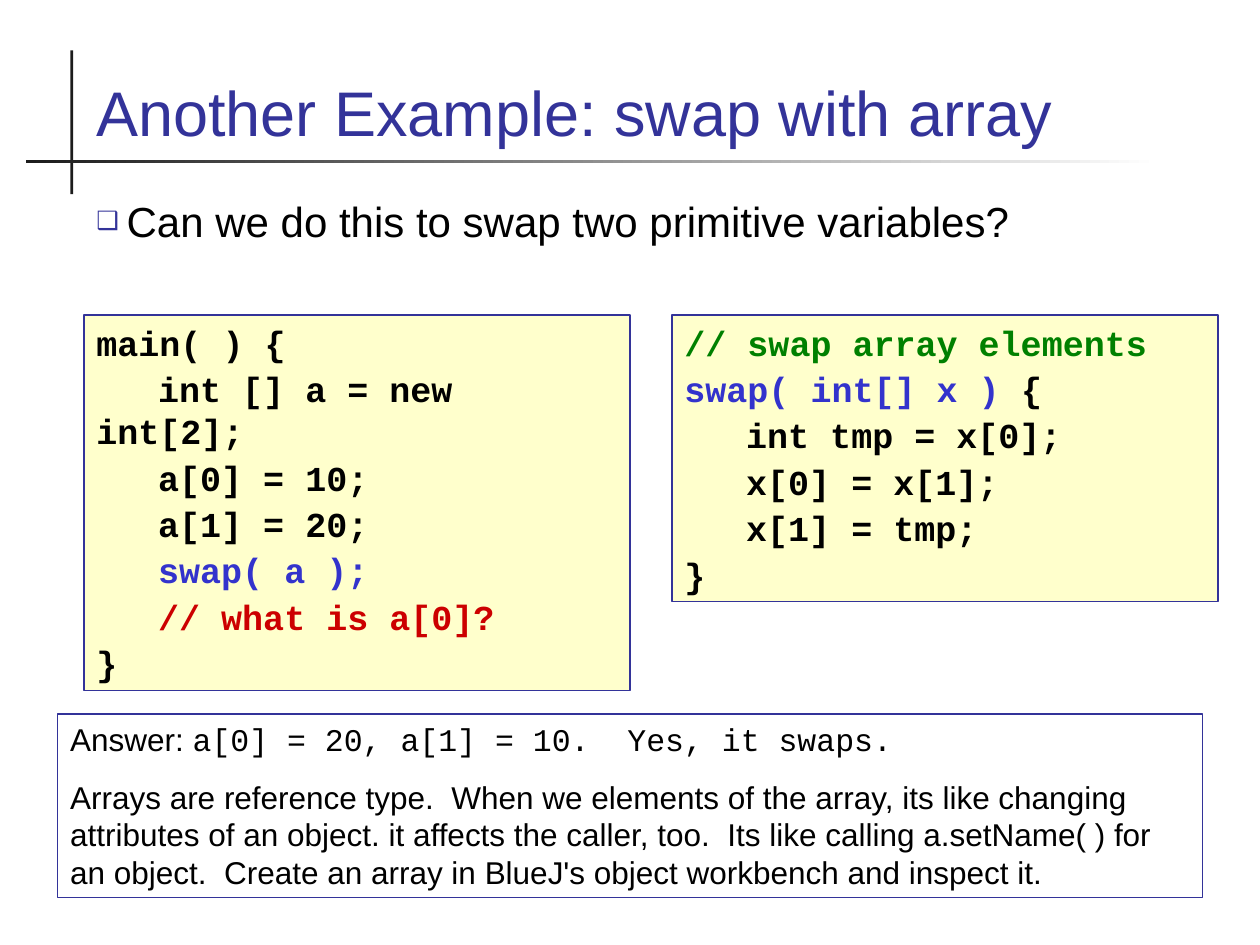
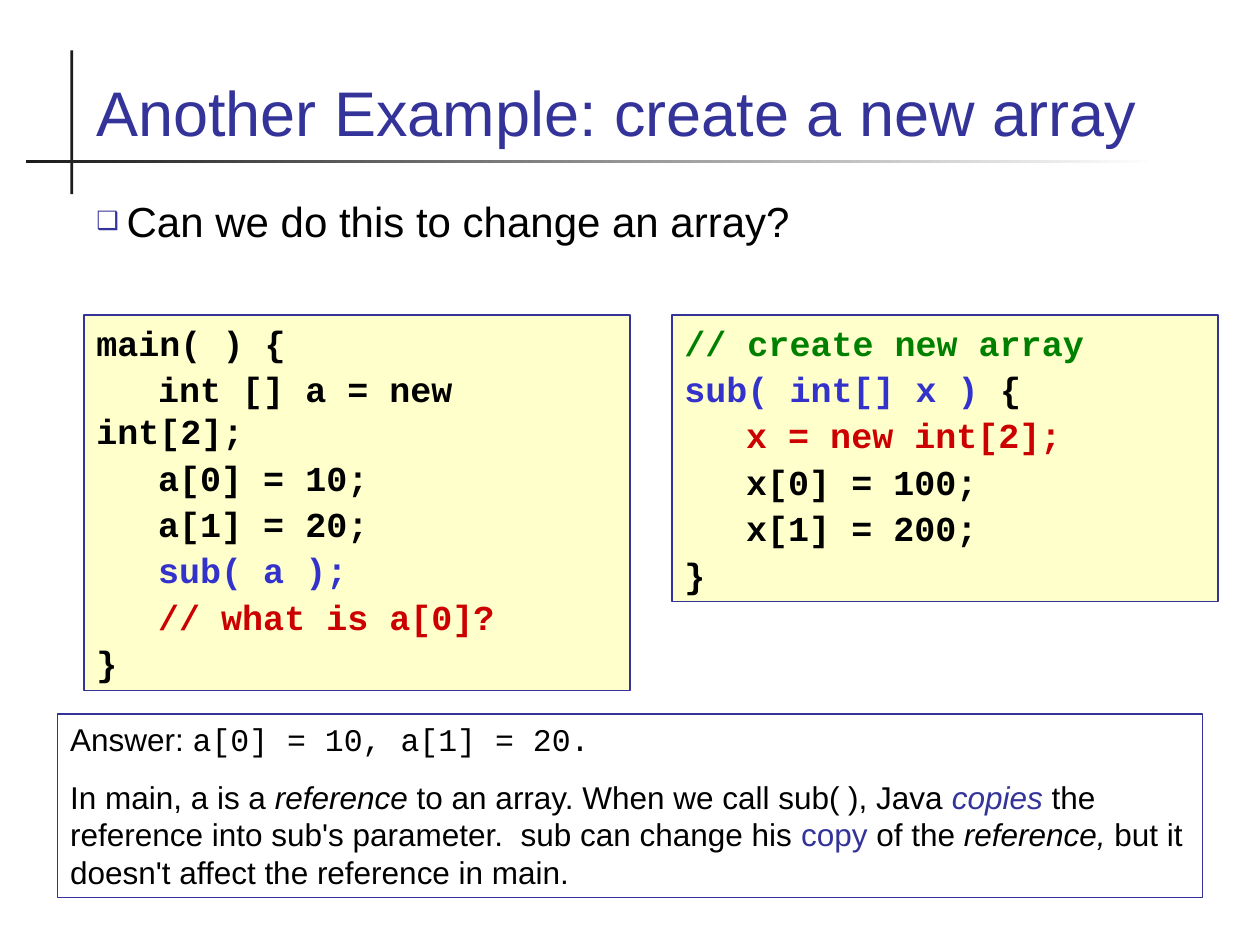
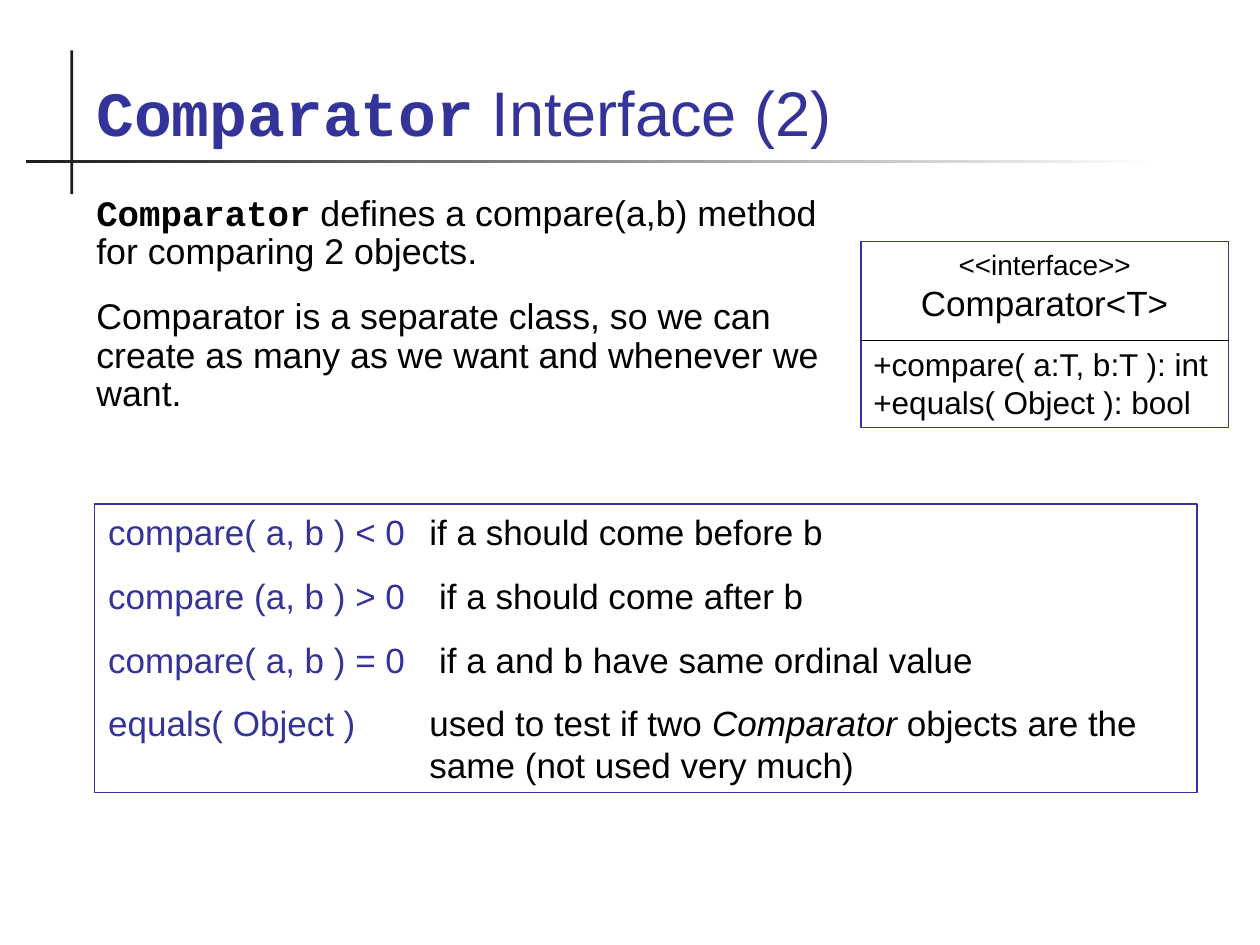
from dataclasses import dataclass, field, replace
from typing import Any, NamedTuple, Optional

from lxml.etree import SubElement
from pptx import Presentation
from pptx.dml.color import RGBColor
from pptx.enum.shapes import MSO_CONNECTOR as Connector, MSO_SHAPE as Preset
from pptx.enum.text import MSO_ANCHOR as Anchor, MSO_AUTO_SIZE as AutoSize, PP_ALIGN as Align
from pptx.oxml.ns import qn
from pptx.util import Emu, Inches, Pt

COLUMNS, ROWS = 120, 90
SLIDE_WIDTH, SLIDE_HEIGHT = Inches(10), Inches(7.5)

BLACK = RGBColor(0x00, 0x00, 0x00)
WHITE = RGBColor(0xFF, 0xFF, 0xFF)
RULE = RGBColor(0x1C, 0x1C, 0x1C)
INDIGO = RGBColor(0x33, 0x33, 0x99)
CREAM = RGBColor(0xFF, 0xFF, 0xCC)
CALL_BLUE = RGBColor(0x33, 0x33, 0xCC)
ALERT_RED = RGBColor(0xCC, 0x00, 0x00)
COMMENT_GREEN = RGBColor(0x00, 0x80, 0x00)

SANS, MONO = "Arial", "Courier New"


class Area(NamedTuple):
    column: float
    row: float
    columns: float
    rows: float


class Run(NamedTuple):
    text: str
    color: Optional[RGBColor] = None
    font: dict[str, Any] = {}


@dataclass(frozen=True)
class Style:
    size: float
    name: str = SANS
    color: RGBColor = BLACK
    bold: bool = False
    gap: float = 0
    layout: dict[str, Any] = field(default_factory=dict)
    margin: float = 0
    hanging: float = 0
    tab: float = 0
    bullet: str = ""


class Line(NamedTuple):
    runs: list[Run]
    style: Style


TITLE = Style(36, color=INDIGO)
QUESTION = Style(24, margin=0.24, hanging=0.24, bullet="❑")
CODE = Style(20, MONO, bold=True, gap=2.5, tab=0.49)
ANSWER = Style(18, gap=11.2)
SUMMARY = Style(20.4, gap=15, layout={"line_spacing": 0.9})
STEREOTYPE = Style(16, layout={"alignment": Align.CENTER})
INTERFACE_NAME = Style(20, layout={"alignment": Align.CENTER, "space_after": Pt(12.5)})
METHOD = Style(18)
RESULT = Style(20, gap=12.5, margin=2.56, hanging=2.55, tab=2.56)

ITALIC = {"italic": True}
MONO_BOLD = {"name": MONO, "bold": True}

TITLE_AREA = Area(8, 3.4, 104, 11.4)
QUESTION_AREA = Area(8, 18, 104, 11)
CALLER_AREA = Area(8, 30, 52, 35.76)
METHOD_AREA = Area(64, 30, 52, 27.3)
ANSWER_AREA = Area(5.5, 68, 109, 17.5)
SUMMARY_AREA = Area(8, 18, 73, 24)
INTERFACE_AREA = Area(82, 23, 35, 17.75)
RESULT_AREA = Area(9, 48, 105, 27.5)
VERTICAL_RULE = Area(6.7, 4.8, 0.28, 13.7)
HORIZONTAL_RULE = Area(2.5, 15.23, 107.9, 0.28)
INTERFACE_DIVIDER_ROW = 32.4


def x(columns: float) -> Emu:
    return Emu(round(SLIDE_WIDTH * columns / COLUMNS))


def y(rows: float) -> Emu:
    return Emu(round(SLIDE_HEIGHT * rows / ROWS))


def place(area: Area) -> tuple[Emu, Emu, Emu, Emu]:
    return x(area.column), y(area.row), x(area.columns), y(area.rows)


def set_values(target: Any, values: dict[str, Any]) -> None:
    for name, value in values.items():
        setattr(target, name, value)


def set_indents(paragraph: Any, style: Style) -> None:
    properties = paragraph._p.get_or_add_pPr()
    if style.margin:
        properties.set("marL", str(Inches(style.margin)))
        properties.set("indent", str(-Inches(style.hanging)))
    if style.bullet:
        color = SubElement(properties, qn("a:buClr"))
        SubElement(color, qn("a:srgbClr"), val=str(INDIGO))
        SubElement(properties, qn("a:buSzPct"), val="60000")
        SubElement(properties, qn("a:buFont"), typeface=SANS)
        SubElement(properties, qn("a:buChar"), char=style.bullet)
    if style.tab:
        tabs = SubElement(properties, qn("a:tabLst"))
        SubElement(tabs, qn("a:tab"), pos=str(Inches(style.tab)), algn="l")


def write(shape: Any, lines: list[Line], anchor: Anchor = Anchor.TOP,
          auto_size: AutoSize = AutoSize.NONE) -> None:
    frame = shape.text_frame
    set_values(frame, {"word_wrap": True, "vertical_anchor": anchor, "auto_size": auto_size})
    for index, (runs, style) in enumerate(lines):
        paragraph = frame.add_paragraph() if index else frame.paragraphs[0]
        set_indents(paragraph, style)
        set_values(paragraph, {"alignment": Align.LEFT} | style.layout)
        if index and style.gap:
            paragraph.space_before = Pt(style.gap)
        for text, color, font in runs:
            run = paragraph.add_run()
            run.text = text
            base = {"size": Pt(style.size), "name": style.name, "bold": style.bold}
            set_values(run.font, base | font)
            run.font.color.rgb = style.color if color is None else color


def add_text(slide: Any, area: Area, lines: list[Line], anchor: Anchor = Anchor.TOP) -> None:
    write(slide.shapes.add_textbox(*place(area)), lines, anchor)


def add_rectangle(slide: Any, area: Area) -> Any:
    shape = slide.shapes.add_shape(Preset.RECTANGLE, *place(area))
    shape.shadow.inherit = False
    return shape


def add_panel(slide: Any, area: Area, lines: list[Line], fill: Optional[RGBColor] = None) -> None:
    panel = add_rectangle(slide, area)
    if fill is None:
        panel.fill.background()
    else:
        panel.fill.solid()
        panel.fill.fore_color.rgb = fill
    panel.line.color.rgb = INDIGO
    panel.line.width = Pt(0.75)
    write(panel, lines, auto_size=AutoSize.SHAPE_TO_FIT_TEXT)


def add_titled_slide(presentation: Any, title: list[Run]) -> Any:
    slide = presentation.slides.add_slide(presentation.slide_layouts[6])
    upright = add_rectangle(slide, VERTICAL_RULE)
    upright.fill.solid()
    upright.fill.fore_color.rgb = RULE
    fading = add_rectangle(slide, HORIZONTAL_RULE)
    fading.fill.gradient()
    fading.fill.gradient_angle = 0
    for stop, color in zip(fading.fill.gradient_stops, (RULE, WHITE)):
        stop.color.rgb = color
    for rule in (upright, fading):
        rule.line.fill.background()
    add_text(slide, TITLE_AREA, [Line(title, TITLE)], Anchor.BOTTOM)
    return slide


def caller_code(call: str) -> list[list[Run]]:
    return [
        [Run("main( ) {")],
        [Run("\tint [] a = new int[2];")],
        [Run("\ta[0] = 10;")],
        [Run("\ta[1] = 20;")],
        [Run("\t"), Run(call, CALL_BLUE)],
        [Run("\t"), Run("// what is a[0]?", ALERT_RED)],
        [Run("}")],
    ]


def method_code(comment: str, signature: str, body: list[Run]) -> list[list[Run]]:
    return [
        [Run(comment, COMMENT_GREEN)],
        [Run(signature, CALL_BLUE), Run(" {")],
        *[[Run("\t"), statement] for statement in body],
        [Run("}")],
    ]


@dataclass(frozen=True)
class ArrayExample:
    title: str
    question: str
    call: str
    comment: str
    signature: str
    body: list[Run]
    answer: str
    explanation: list[Run]


EXAMPLES = [
    ArrayExample(
        "Another Example: swap with array",
        "Can we do this to swap two primitive variables?",
        "swap( a );",
        "// swap array elements",
        "swap( int[] x )",
        [Run("int tmp = x[0];"), Run("x[0] = x[1];"), Run("x[1] = tmp;")],
        "a[0] = 20, a[1] = 10.  Yes, it swaps.",
        [Run("Arrays are reference type.  When we elements of the array, its like changing "
             "attributes of an object. it affects the caller, too.  Its like calling "
             "a.setName( ) for an object.  Create an array in BlueJ's object workbench "
             "and inspect it.")],
    ),
    ArrayExample(
        "Another Example: create a new array",
        "Can we do this to change an array?",
        "sub( a );",
        "// create new array",
        "sub( int[] x )",
        [Run("x = new int[2];", ALERT_RED), Run("x[0] = 100;"), Run("x[1] = 200;")],
        "a[0] = 10, a[1] = 20.",
        [Run("In main, a is a "), Run("reference", font=ITALIC),
         Run(" to an array. When we call sub( ), Java "), Run("copies", INDIGO, ITALIC),
         Run(" the reference into sub's parameter.  sub can change his "),
         Run("copy", INDIGO), Run(" of the "), Run("reference,", font=ITALIC),
         Run(" but it doesn't affect the reference in main.")],
    ),
]

RESULTS = [
    ("compare( a, b ) < 0 \t", [Run("if a should come before b")]),
    ("compare (a, b ) > 0\t", [Run(" if a should come after b")]),
    ("compare( a, b ) = 0\t", [Run(" if a and b have same ordinal value")]),
    ("equals( Object ) \t", [Run("used to test if two "), Run("Comparator", font=ITALIC),
                             Run(" objects are the same (not used very much)")]),
]


def add_array_slide(presentation: Any, example: ArrayExample) -> None:
    slide = add_titled_slide(presentation, [Run(example.title)])
    add_text(slide, QUESTION_AREA, [Line([Run(example.question)], QUESTION)])
    method = method_code(example.comment, example.signature, example.body)
    for area, code in ((CALLER_AREA, caller_code(example.call)), (METHOD_AREA, method)):
        add_panel(slide, area, [Line(runs, CODE) for runs in code], CREAM)
    answer = [Run("Answer: "), Run(example.answer, font={"name": MONO})]
    add_panel(slide, ANSWER_AREA, [Line(runs, ANSWER) for runs in (answer, example.explanation)])


def add_comparator_slide(presentation: Any) -> None:
    name = Run("Comparator", font=MONO_BOLD)
    slide = add_titled_slide(presentation, [name, Run(" Interface (2)")])
    add_text(slide, SUMMARY_AREA, [
        Line([name, Run(" defines a compare(a,b) method for comparing 2 objects.")], SUMMARY),
        Line([Run("Comparator is a separate class, so we can create as many as we want "
                  "and whenever we want.")], SUMMARY),
    ])
    add_panel(slide, INTERFACE_AREA, [
        Line([Run("<<interface>>")], STEREOTYPE),
        Line([Run("Comparator<T>")], INTERFACE_NAME),
        Line([Run("+compare( a:T, b:T ): int")], METHOD),
        Line([Run("+equals( Object ): bool")], METHOD),
    ])
    left, right = INTERFACE_AREA.column, INTERFACE_AREA.column + INTERFACE_AREA.columns
    divider = slide.shapes.add_connector(
        Connector.STRAIGHT, x(left), y(INTERFACE_DIVIDER_ROW), x(right), y(INTERFACE_DIVIDER_ROW))
    divider.line.color.rgb = BLACK
    divider.line.width = Pt(0.75)
    SubElement(divider._element.spPr, qn("a:effectLst"))
    add_panel(slide, RESULT_AREA,
              [Line([Run(call, INDIGO), *meaning], RESULT) for call, meaning in RESULTS])


def main() -> None:
    presentation = Presentation()
    set_values(presentation, {"slide_width": SLIDE_WIDTH, "slide_height": SLIDE_HEIGHT})
    for example in EXAMPLES:
        add_array_slide(presentation, example)
    add_comparator_slide(presentation)
    presentation.save("out.pptx")


if __name__ == "__main__":
    main()
